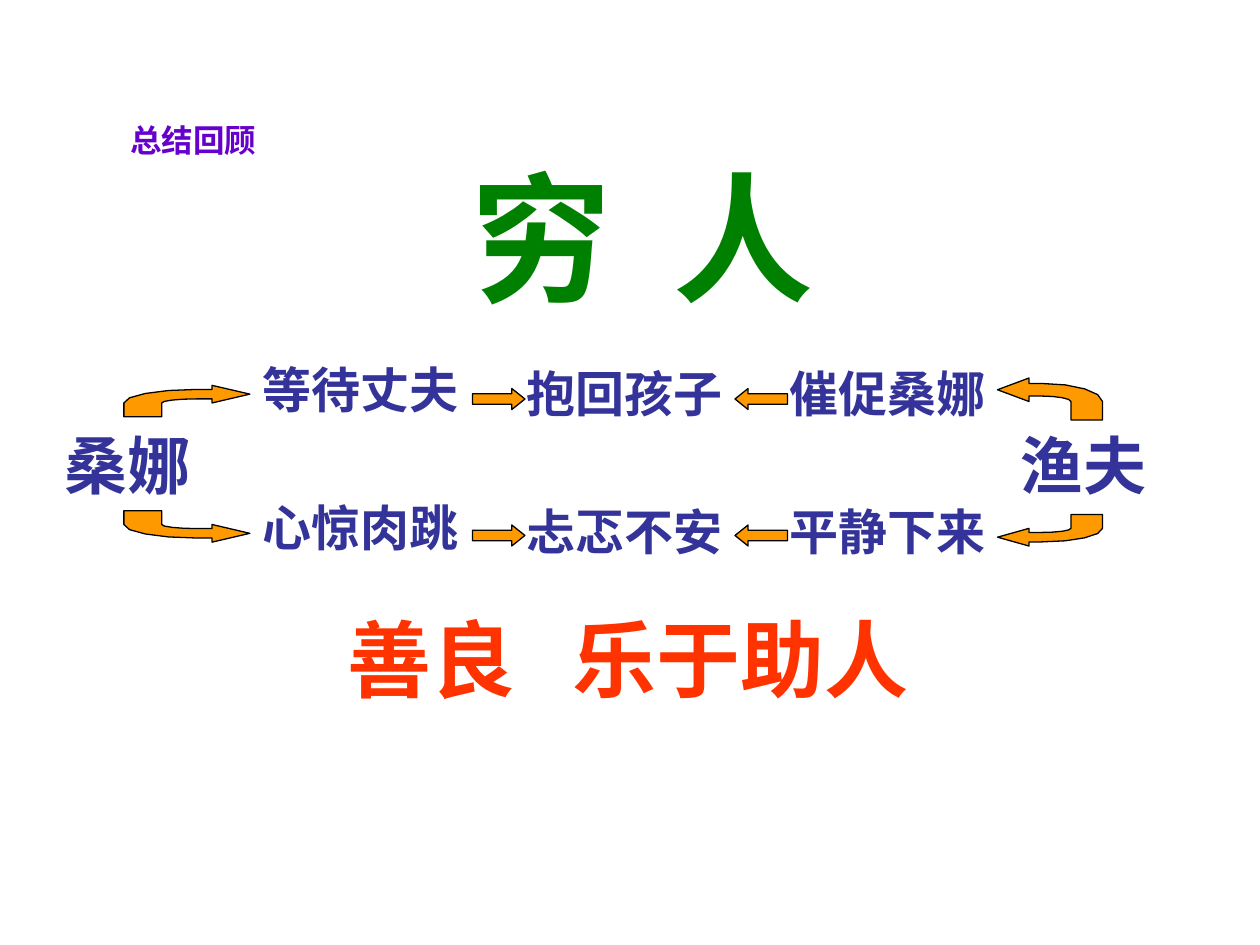
from pptx import Presentation
from pptx.dml.color import RGBColor
from pptx.enum.shapes import MSO_SHAPE
from pptx.enum.text import MSO_AUTO_SIZE, PP_ALIGN
from pptx.oxml.ns import qn
from pptx.util import Pt
from lxml import etree

RIGHT_ARROW, LEFT_ARROW = MSO_SHAPE.RIGHT_ARROW, MSO_SHAPE.LEFT_ARROW
LEFT, CENTER = PP_ALIGN.LEFT, PP_ALIGN.CENTER
GROW, FIXED = MSO_AUTO_SIZE.SHAPE_TO_FIT_TEXT, MSO_AUTO_SIZE.NONE

GREEN = RGBColor(0x00, 0x80, 0x00)
INDIGO = RGBColor(0x33, 0x33, 0x99)
ORANGE = RGBColor(0xFF, 0x99, 0x00)
RED = RGBColor(0xFF, 0x33, 0x00)
PURPLE = RGBColor(0x66, 0x00, 0xCC)
BLACK = RGBColor(0x00, 0x00, 0x00)

presentation = Presentation()
presentation.slide_width, presentation.slide_height = Pt(720), Pt(540)
slide = presentation.slides.add_slide(presentation.slide_layouts[6])


def add_text(words, box, size, color, font="Arial", align=LEFT, wrap=True, gap=0):
    """Write words in a text box; each space is widened by gap points."""
    frame = slide.shapes.add_textbox(*map(Pt, box)).text_frame
    frame.word_wrap = wrap
    frame.auto_size = GROW if wrap else FIXED
    paragraph = frame.paragraphs[0]
    paragraph.alignment = align
    for part in words.replace(" ", "| |").split("|"):
        run = paragraph.add_run()
        run.text = part
        run.font.size, run.font.bold, run.font.name = Pt(size), True, font
        run.font.color.rgb = color
        properties = run.font._element
        etree.SubElement(properties, qn("a:ea")).set("typeface", font)
        if part == " ":
            properties.set("spc", str(round(gap * 100)))


def style_arrow(shape):
    shape.shadow.inherit = False
    shape.fill.solid()
    shape.fill.fore_color.rgb = ORANGE
    shape.line.color.rgb = BLACK
    shape.line.width = Pt(0.75)


add_text("穷 人", (241.2, 82.8, 252, 103.68), 80, GREEN, align=CENTER, gap=13)

# The two characters
for name, left in (("桑娜", 30), ("渔夫", 576)):
    add_text(name, (left, 240, 90, 50.4), 36, INDIGO)

# Columns of events, upper and lower row
EVENT_STEP = 79
columns = [
    (142.9, 202, "等待丈夫", "心惊肉跳"),
    (294, 204, "抱回孩子", "忐忑不安"),
    (444, 204, "催促桑娜", "平静下来"),
]
for left, top, *events in columns:
    for row, event in enumerate(events):
        add_text(event, (left, top + row * EVENT_STEP, 138, 41), 28, INDIGO)

# Straight arrows towards the middle column
ARROW_STEP = 78
for kind, left in ((RIGHT_ARROW, 270), (LEFT_ARROW, 420)):
    for row in range(2):
        arrow = slide.shapes.add_shape(
            kind, Pt(left), Pt(222 + row * ARROW_STEP), Pt(30), Pt(12))
        arrow.adjustments[0], arrow.adjustments[1] = 0.5, 0.625
        style_arrow(arrow)

# Bent arrow in unit coordinates: tip at the right, tail at the lower left
STEPS = 4
outer, inner = [], []
for step in range(STEPS + 1):
    t = step / STEPS
    a, b, c, d = (1 - t) ** 3, 3 * t * (1 - t) ** 2, 3 * t ** 2 * (1 - t), t ** 3
    outer.append((0.58 * a + 0.26 * b, 0.13 * (a + b) + 0.33 * c + 0.56 * d))
    inner.append((0.3 * (a + b) + 0.43 * c + 0.58 * d, 0.56 * a + 0.49 * b + 0.43 * (c + d)))
outline = [(1, 0.28), (0.7, 0), (0.7, 0.13), *outer, (0, 1), (0.3, 1),
           *inner, (0.7, 0.43), (0.7, 0.56)]

# Corner of the tail's outer side and head's outer side, then signed extent
bent_arrows = [
    (70.8, 220.2, 72, 18),
    (70.8, 309.8, 72, -18),
    (630, 216, -60, 24),
    (630, 312, -60, -18),
]
for x, y, width, height in bent_arrows:
    points = [(Pt(x + u * width), Pt(y + v * height)) for u, v in outline]
    builder = slide.shapes.build_freeform(*points[0])
    builder.add_line_segments(points[1:], close=True)
    style_arrow(builder.convert_to_shape())

add_text("善良 乐于助人", (172.8, 343.5, 372, 64.8), 48, RED,
         font="Noto Sans CJK JP", align=CENTER, gap=21.5)
add_text("总结回顾", (37, 65.8, 147, 87.8), 18, PURPLE,
         font="Noto Sans CJK SC", align=CENTER, wrap=False)

presentation.save("out.pptx")
